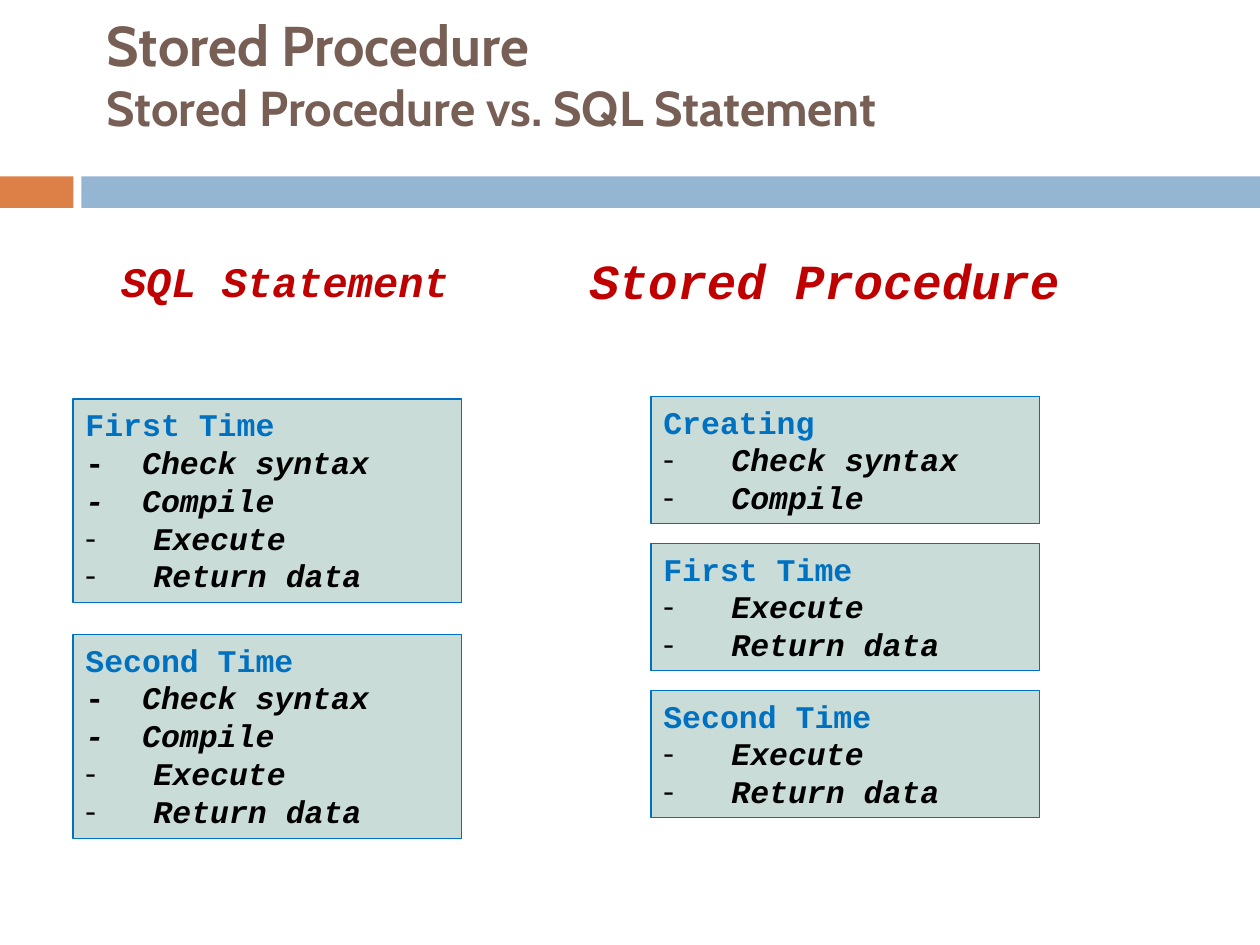
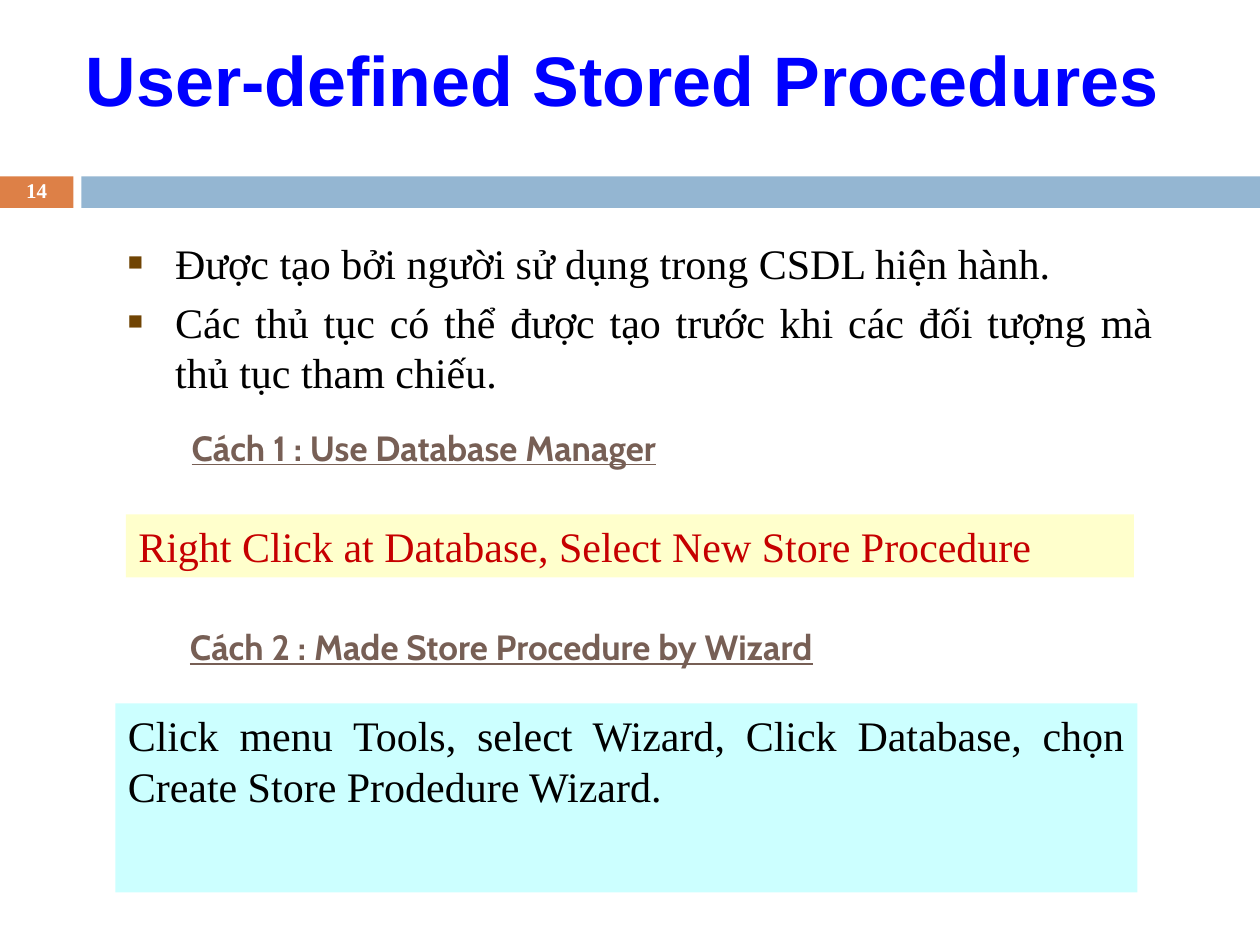
from lxml import etree
from pptx import Presentation
from pptx.dml.color import RGBColor
from pptx.enum.shapes import MSO_SHAPE
from pptx.enum.text import MSO_ANCHOR, PP_ALIGN
from pptx.oxml.ns import qn
from pptx.util import Pt

RECTANGLE = MSO_SHAPE.RECTANGLE
TOP, MIDDLE, BOTTOM = MSO_ANCHOR.TOP, MSO_ANCHOR.MIDDLE, MSO_ANCHOR.BOTTOM
LEFT, CENTER, RIGHT, JUSTIFY = (PP_ALIGN.LEFT, PP_ALIGN.CENTER,
                                PP_ALIGN.RIGHT, PP_ALIGN.JUSTIFY)

COLORS = {
    "orange": "DD8047", "band": "94B6D2", "brown": "775F55", "panel": "CADCD8",
    "blue": "0070C0", "red": "C00000", "bright blue": "0000FF",
    "bullet": "704404", "yellow": "FFFFCC", "cyan": "CCFFFF",
    "click red": "C60000", "black": "000000", "white": "FFFFFF",
}
CABIN, COURIER, TIMES, ARIAL = "Cabin", "Courier New", "Times New Roman", "Arial"

TYPED_DASH_INDENT = 32.4
DASH_INDENT = 38.9


def rgb(name):
    return RGBColor.from_string(COLORS[name])


class Deck:
    def __init__(self):
        self.presentation = Presentation()
        self.presentation.slide_width = Pt(720)
        self.presentation.slide_height = Pt(540)
        self.slide = None

    def new_slide(self):
        """Add a blank slide carrying the two bands below the title."""
        self.slide = self.presentation.slides.add_slide(
            self.presentation.slide_layouts[6])
        self.box((0, 100.8, 42, 18), "orange")
        self.box((46.5, 100.8, 673.5, 18), "band")

    def box(self, area, fill, line=None, anchor=TOP):
        """Draw a filled rectangle and return its text frame."""
        shape = self.slide.shapes.add_shape(RECTANGLE, *map(Pt, area))
        shape.shadow.inherit = False
        shape.fill.solid()
        shape.fill.fore_color.rgb = rgb(fill)
        if line:
            shape.line.color.rgb = rgb(line)
            shape.line.width = Pt(0.75)
        else:
            shape.line.fill.background()
        shape.text_frame.word_wrap = True
        shape.text_frame.vertical_anchor = anchor
        return shape.text_frame

    def text_area(self, area, anchor=TOP, wrap=True):
        frame = self.slide.shapes.add_textbox(*map(Pt, area)).text_frame
        frame.word_wrap = wrap
        frame.vertical_anchor = anchor
        return frame

    def add_text(self, frame, text, font, size, color, align=LEFT, before=0,
                 bold=False, italic=None, underline=None, bullet=None, indent=0):
        """Add a paragraph, filling the empty first one if there is one."""
        paragraph = frame.paragraphs[0]
        if paragraph.runs:
            paragraph = frame.add_paragraph()
        if indent:
            self.hang(paragraph, indent, bullet)
        paragraph.alignment = align
        paragraph.space_before = Pt(before)
        style = paragraph.font
        style.name, style.size, style.bold = font, Pt(size), bold
        style.italic, style.underline = italic, underline
        style.color.rgb = rgb(color)
        if text:
            paragraph.add_run().text = text
        return paragraph

    def hang(self, paragraph, indent, bullet):
        """Set a hanging indent and, if given, a bullet (char, colour, percent)."""
        properties = paragraph._p.get_or_add_pPr()
        properties.set("marL", str(Pt(indent)))
        properties.set("indent", str(-Pt(indent)))
        if not bullet:
            return
        char, color, percent = bullet
        holder = etree.SubElement(properties, qn("a:buClr"))
        etree.SubElement(holder, qn("a:srgbClr"), val=COLORS[color])
        etree.SubElement(properties, qn("a:buSzPct"), val=str(percent * 1000))
        etree.SubElement(properties, qn("a:buFont"), typeface=TIMES)
        etree.SubElement(properties, qn("a:buChar"), char=char)

    def panel(self, area, heading, typed_steps, bulleted_steps):
        """Draw a box with a heading and steps; the first typed dash is upright."""
        frame = self.box(area, "panel", "blue")
        self.add_text(frame, heading, COURIER, 18, "blue", bold=True)
        for number, step in enumerate(typed_steps):
            line = self.add_text(frame, "", COURIER, 18, "black", bold=True,
                                 indent=TYPED_DASH_INDENT)
            for text, italic in (("-\t", number > 0), (step, True)):
                run = line.add_run()
                run.text = text
                run.font.italic = italic
        for step in bulleted_steps:
            self.add_text(frame, step, COURIER, 18, "black", bold=True, italic=True,
                          bullet=("-", "black", 100), indent=DASH_INDENT)

    def column_heading(self, area, text, size):
        self.add_text(self.text_area(area, wrap=False), text, COURIER, size, "red",
                      RIGHT, bold=True, italic=True)

    def method_heading(self, area, text):
        self.add_text(self.text_area(area, BOTTOM, wrap=False), text, CABIN, 20,
                      "brown", CENTER, before=4, bold=True, underline=True)


def add_comparison(deck):
    deck.new_slide()
    title = deck.add_text(deck.text_area((54, 6, 630, 72), MIDDLE), "", CABIN, 32,
                          "brown", bold=True)
    title.add_run().text = "Stored Procedure"
    title.add_line_break()
    subtitle = title.add_run()
    subtitle.text = "Stored Procedure vs. SQL Statement"
    subtitle.font.size = Pt(28)

    deck.column_heading((60.5, 142.5, 203, 36), "SQL Statement", 24)
    deck.column_heading((327.5, 139.5, 285, 41), "Stored Procedure", 28)

    prepare = ["Check syntax", "Compile"]
    execute = ["Execute", "Return data"]
    for row, heading in enumerate(("First Time", "Second Time")):
        deck.panel((41.75, 228 + row * 134.5, 222, 116.5), heading, prepare, execute)
    procedure_phases = (("Creating", prepare), ("First Time", execute),
                        ("Second Time", execute))
    for row, (heading, steps) in enumerate(procedure_phases):
        deck.panel((372, 226.5 + row * 84, 222, 72.75), heading, [], steps)


def add_user_defined(deck):
    deck.new_slide()
    number = deck.add_text(deck.text_area((0, 100, 42, 19.5), MIDDLE), "14", TIMES,
                           12, "white", CENTER, bold=True)
    number.line_spacing = 0.8
    deck.add_text(deck.text_area((42, 0, 655, 90), MIDDLE),
                  "User-defined Stored Procedures", ARIAL, 40, "bright blue",
                  bold=True)

    facts = deck.text_area((66, 132, 600, 126))
    for fact in (
        "Được tạo bởi người sử dụng trong CSDL hiện hành.",
        "Các thủ tục có thể được tạo trước khi các đối tượng mà thủ tục tham chiếu.",
    ):
        deck.add_text(facts, fact, TIMES, 24, "black", JUSTIFY, before=4.8,
                      bullet=("■", "bullet", 60), indent=27)

    deck.method_heading((72, 240, 340.5, 31), "Cách 1 : Use Database Manager")
    deck.add_text(deck.box((72, 294, 576, 36), "yellow", anchor=BOTTOM),
                  "Right Click at Database, Select New Store Procedure",
                  TIMES, 24, "click red", before=4.8)
    deck.method_heading((72, 354, 429, 31),
                        "Cách 2 : Made Store Procedure by Wizard")
    deck.add_text(deck.box((66, 402, 584, 108), "cyan"),
                  "Click menu Tools, select Wizard, Click Database, chọn "
                  "Create Store Prodedure Wizard.",
                  TIMES, 24, "black", JUSTIFY, before=4.8)


def main():
    deck = Deck()
    add_comparison(deck)
    add_user_defined(deck)
    deck.presentation.save("out.pptx")


if __name__ == "__main__":
    main()
